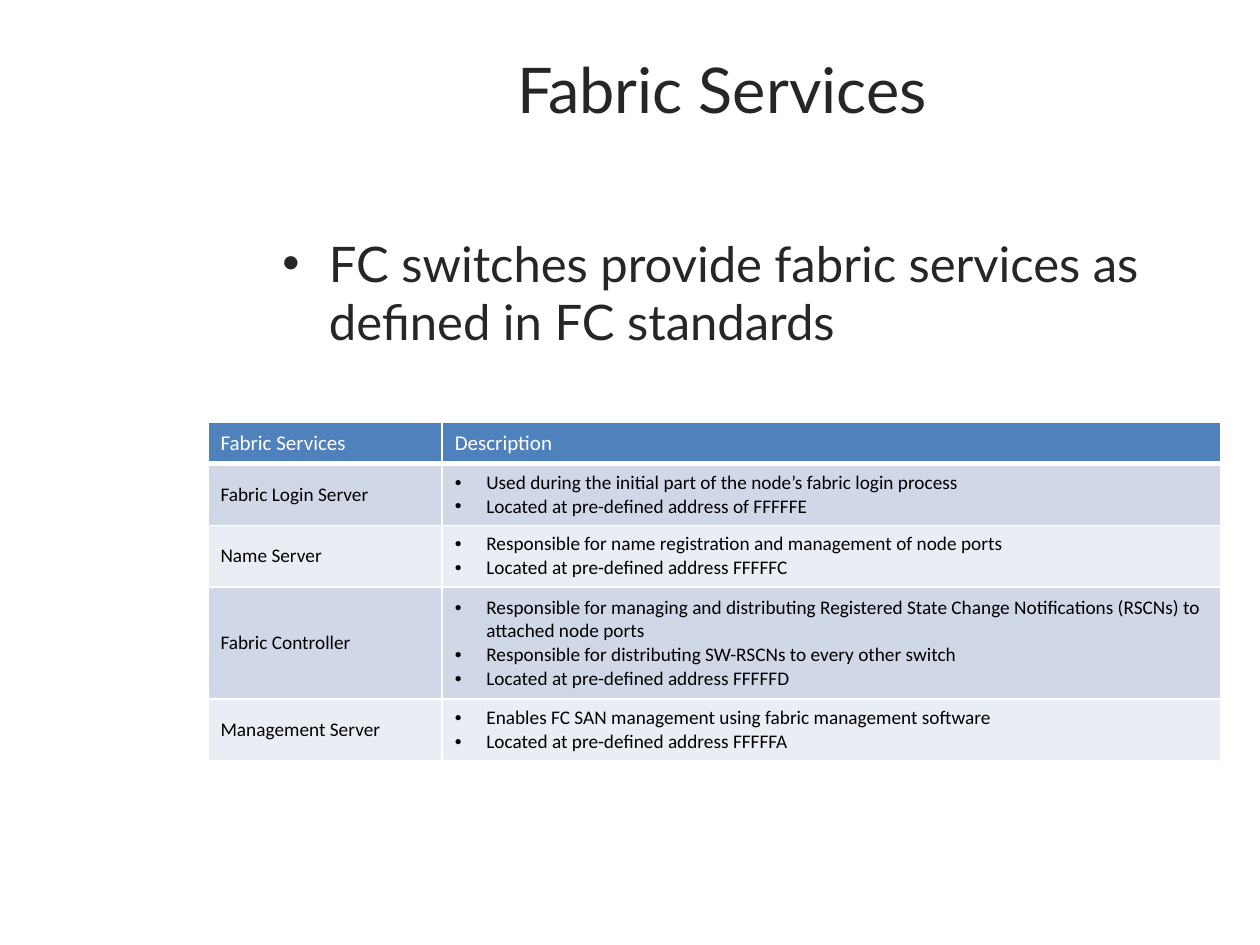
from lxml import etree
from pptx import Presentation
from pptx.dml.color import RGBColor
from pptx.enum import text
from pptx.oxml import ns
from pptx.util import Inches, Pt

# Content
TITLE = "Fabric Services"
STATEMENT = "FC switches provide fabric services as defined in FC standards"
HEADERS = ("Fabric Services", "Description")
SERVICES = [
    ("Fabric Login Server", [
        "Used during the initial part of the node’s fabric login process",
        "Located at pre-defined address of FFFFFE"]),
    ("Name Server", [
        "Responsible for name registration and management of node ports",
        "Located at pre-defined address FFFFFC"]),
    ("Fabric Controller", [
        "Responsible for managing and distributing Registered State Change "
        "Notifications (RSCNs) to attached node ports",
        "Responsible for distributing SW-RSCNs to every other switch",
        "Located at pre-defined address FFFFFD"]),
    ("Management Server", [
        "Enables FC SAN management using fabric management software",
        "Located at pre-defined address FFFFFA"]),
]

# Style
DARK = RGBColor(0x26, 0x26, 0x26)
BLACK = RGBColor(0, 0, 0)
WHITE = RGBColor(0xFF, 0xFF, 0xFF)
HEADER_BLUE = RGBColor(0x4F, 0x81, 0xBD)
BANDS = (RGBColor(0xD0, 0xD8, 0xE8), RGBColor(0xE9, 0xED, 0xF4))
COLUMN_WIDTHS = (1.86, 6.18)
ROW_HEIGHTS = (0.33, 0.49, 0.49, 0.89, 0.49)


def style_font(paragraph, name, size, color):
    paragraph.font.name = name
    paragraph.font.size = Pt(size)
    paragraph.font.color.rgb = color


def add_bullet(paragraph, indent):
    properties = paragraph._p.get_or_add_pPr()
    properties.set("marL", str(Inches(indent)))
    properties.set("indent", str(-Inches(indent)))
    font = etree.SubElement(properties, ns.qn("a:buFont"))
    font.set("typeface", "Arial")
    etree.SubElement(properties, ns.qn("a:buChar")).set("char", "•")


def fill_placeholder(shape, content, box, size):
    shape.left, shape.top, shape.width, shape.height = map(Inches, box)
    frame = shape.text_frame
    frame.text = content
    frame.auto_size = text.MSO_AUTO_SIZE.NONE
    frame.vertical_anchor = text.MSO_ANCHOR.TOP
    paragraph = frame.paragraphs[0]
    style_font(paragraph, "Lato", size, DARK)
    return paragraph


def set_borders(cell, bottom_width):
    properties = cell._tc.get_or_add_tcPr()
    widths = {"lnL": 1, "lnR": 1, "lnT": 1, "lnB": bottom_width}
    for position, (side, width) in enumerate(widths.items()):
        line = etree.Element(ns.qn(f"a:{side}"), w=str(Pt(width)))
        fill = etree.SubElement(line, ns.qn("a:solidFill"))
        etree.SubElement(fill, ns.qn("a:srgbClr")).set("val", str(WHITE))
        properties.insert(position, line)


def fill_cell(cell, lines, size, color, background, bulleted=False, bottom_width=1):
    cell.fill.solid()
    cell.fill.fore_color.rgb = background
    cell.vertical_anchor = text.MSO_ANCHOR.MIDDLE
    set_borders(cell, bottom_width)
    cell.text_frame.text = "\n".join(lines)
    for paragraph in cell.text_frame.paragraphs:
        style_font(paragraph, "Calibri", size, color)
        paragraph.font.bold = False
        if bulleted:
            add_bullet(paragraph, 0.25)


def add_services_table(slide):
    table = slide.shapes.add_table(
        len(SERVICES) + 1, len(HEADERS), Inches(1.65), Inches(3.35),
        Inches(sum(COLUMN_WIDTHS)), Inches(sum(ROW_HEIGHTS))).table
    for column, width in zip(table.columns, COLUMN_WIDTHS):
        column.width = Inches(width)
    for row, height in zip(table.rows, ROW_HEIGHTS):
        row.height = Inches(height)
    for column, header in enumerate(HEADERS):
        fill_cell(table.cell(0, column), [header], 12, WHITE, HEADER_BLUE, bottom_width=3)
    for row, (service, details) in enumerate(SERVICES, start=1):
        band = BANDS[(row - 1) % 2]
        fill_cell(table.cell(row, 0), [service], 11, BLACK, band)
        fill_cell(table.cell(row, 1), details, 11, BLACK, band, bulleted=True)


def main():
    presentation = Presentation()
    presentation.slide_width, presentation.slide_height = Inches(10), Inches(7.5)
    slide = presentation.slides.add_slide(presentation.slide_layouts[1])

    # Title and statement
    title = fill_placeholder(slide.shapes.title, TITLE, (2.14, 0.35, 7.18, 1.17), 36)
    title.alignment = text.PP_ALIGN.CENTER
    statement = fill_placeholder(
        slide.placeholders[1], STATEMENT, (2.14, 1.8, 7.18, 5.15), 28)
    add_bullet(statement, 0.37)

    # Table of services
    add_services_table(slide)
    presentation.save("out.pptx")


if __name__ == "__main__":
    main()
